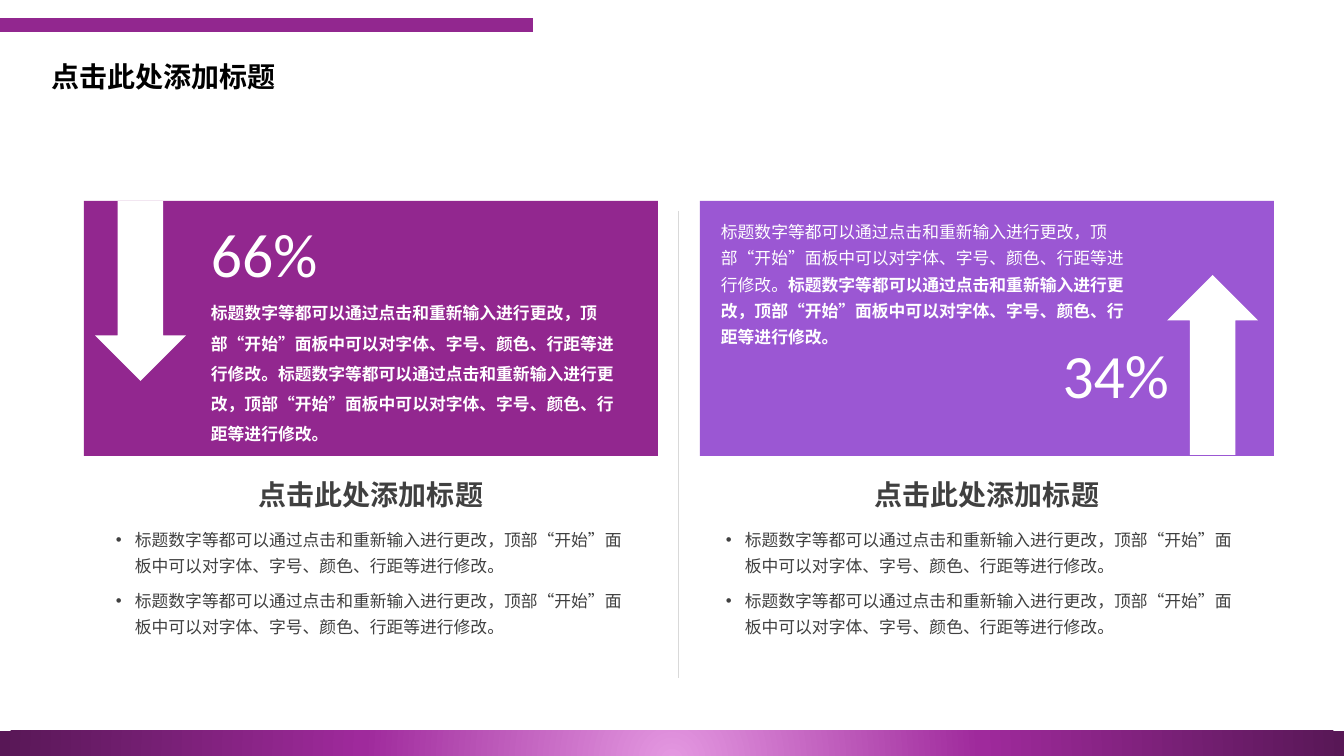
from lxml import etree
from pptx import Presentation
from pptx import util as u
from pptx.dml.color import RGBColor
from pptx.enum import shapes, text
from pptx.oxml import parse_xml
from pptx.oxml.ns import nsdecls, qn

EMU_PER_PX = 914400 / 100.8
CJK_FONT = "Noto Sans CJK SC"
PURPLE, VIOLET, WHITE, GREY = "92278F", "9B57D3", "FFFFFF", "404040"
HEADING = "点击此处添加标题"
SENTENCE = "标题数字等都可以通过点击和重新输入进行更改，顶部“开始”面板中可以对字体、字号、颜色、行距等进行修改。"


def px(*lengths):
    return [u.Emu(round(length * EMU_PER_PX)) for length in lengths]


def rgb(colour):
    return RGBColor.from_string(colour)


class SlideBuilder:
    def __init__(self, slide, font):
        self.slide = slide
        self.font = font

    def shape(self, kind, box, fill, rotation=0):
        shape = self.slide.shapes.add_shape(kind, *px(*box))
        shape.shadow.inherit = False
        shape.fill.solid()
        shape.fill.fore_color.rgb = rgb(fill)
        shape.line.fill.background()
        shape.rotation = rotation
        return shape

    def glow_band(self, box, stops):
        """Rectangle with a round gradient centred below its middle."""
        band = self.shape(shapes.MSO_SHAPE.RECTANGLE, box, stops[0][1])
        stop_xml = "".join(
            f'<a:gs pos="{position * 1000}"><a:srgbClr val="{colour}"/></a:gs>'
            for position, colour in stops)
        gradient = parse_xml(
            f'<a:gradFill {nsdecls("a")} rotWithShape="1"><a:gsLst>{stop_xml}</a:gsLst>'
            '<a:path path="circle"><a:fillToRect l="50000" t="130000" r="50000" b="-30000"/>'
            '</a:path></a:gradFill>')
        properties = band._element.spPr
        properties.replace(properties.find(qn("a:solidFill")), gradient)

    def line(self, start, end, colour, width):
        line = self.slide.shapes.add_connector(
            shapes.MSO_CONNECTOR.STRAIGHT, *px(*start, *end))
        line.line.color.rgb = rgb(colour)
        line.line.width = u.Pt(width)
        etree.SubElement(line._element.spPr, qn("a:effectLst"))

    def format(self, paragraph, size, colour, bold=False, align="LEFT", spacing=1.0, font=None):
        paragraph.alignment = getattr(text.PP_ALIGN, align)
        paragraph.line_spacing = spacing
        typeface = font or self.font
        paragraph.font.name = typeface
        paragraph.font.size = u.Pt(size)
        paragraph.font.bold = bold
        paragraph.font.color.rgb = rgb(colour)
        defaults = paragraph._p.pPr.find(qn("a:defRPr"))
        etree.SubElement(defaults, qn("a:ea"), typeface=typeface)

    def title(self, box, words):
        title = self.slide.shapes.title
        title.left, title.top, title.width, title.height = px(*box)
        frame = title.text_frame
        frame.text = words
        frame.auto_size = text.MSO_AUTO_SIZE.NONE
        frame.vertical_anchor = text.MSO_ANCHOR.MIDDLE
        self.format(frame.paragraphs[0], 20, "000000", bold=True, spacing=0.9)

    def text(self, box, words, size, colour, **style):
        frame = self.slide.shapes.add_textbox(*px(*box)).text_frame
        frame.word_wrap = True
        frame.auto_size = text.MSO_AUTO_SIZE.SHAPE_TO_FIT_TEXT
        frame.text = words
        for paragraph in frame.paragraphs:
            self.format(paragraph, size, colour, **style)
        return frame

    def bullets(self, box, items, size, colour, spacing):
        frame = self.slide.shapes.add_textbox(*px(*box)).text_frame
        frame.word_wrap = True
        frame.auto_size = text.MSO_AUTO_SIZE.SHAPE_TO_FIT_TEXT
        frame.text = "\n".join(items)
        indent, = px(19)
        for index, paragraph in enumerate(frame.paragraphs):
            properties = paragraph._p.get_or_add_pPr()
            properties.set("marL", str(indent))
            properties.set("indent", str(-indent))
            etree.SubElement(properties, qn("a:buFont"), typeface="Arial")
            etree.SubElement(properties, qn("a:buChar"), char="•")
            if index:
                paragraph.space_before = u.Pt(6)
            self.format(paragraph, size, colour, spacing=spacing)


def main():
    presentation = Presentation()
    presentation.slide_width, presentation.slide_height = px(1344, 756)
    slide = presentation.slides.add_slide(presentation.slide_layouts[5])
    builder = SlideBuilder(slide, CJK_FONT)

    builder.line((0, 25), (533, 25), PURPLE, 10)
    builder.glow_band((0, 731, 1344, 29), [(0, "E498E1"), (46, "9F2A9C"), (100, "581756")])
    builder.title((41, 49, 492, 58), HEADING)
    builder.line((678, 211), (678, 678), "D9D9D9", 0.5)

    columns = [
        # panel left, colour, bullets left, arrow position, arrow rotation
        (84, PURPLE, 106, (95, 201), 0),
        (700, VIOLET, 716, (1167, 275), 180),
    ]
    for left, colour, bullets_left, arrow, rotation in columns:
        builder.shape(shapes.MSO_SHAPE.RECTANGLE, (left, 201, 574, 255), colour)
        builder.shape(shapes.MSO_SHAPE.DOWN_ARROW, (*arrow, 91, 180), WHITE, rotation)
        builder.text((left, 456, 574, 61), HEADING, 20, GREY,
                     bold=True, align="CENTER", spacing=1.5)
        builder.bullets((bullets_left, 519, 542, 125), [SENTENCE] * 2, 12, GREY, 1.3)

    for box, share, align in [((201, 211, 213, 114), "66%", "LEFT"),
                              ((966, 332, 213, 114), "34%", "RIGHT")]:
        builder.text(box, share, 44, WHITE, align=align, font="Calibri")

    builder.text((201, 288, 435, 159), SENTENCE * 2, 12, WHITE, bold=True, spacing=1.5)
    summary = builder.text((711, 211, 435, 166), SENTENCE, 12, WHITE, spacing=1.3)
    emphasis = summary.paragraphs[0].add_run()
    emphasis.text = SENTENCE
    emphasis.font.bold = True

    presentation.save("out.pptx")


if __name__ == "__main__":
    main()
